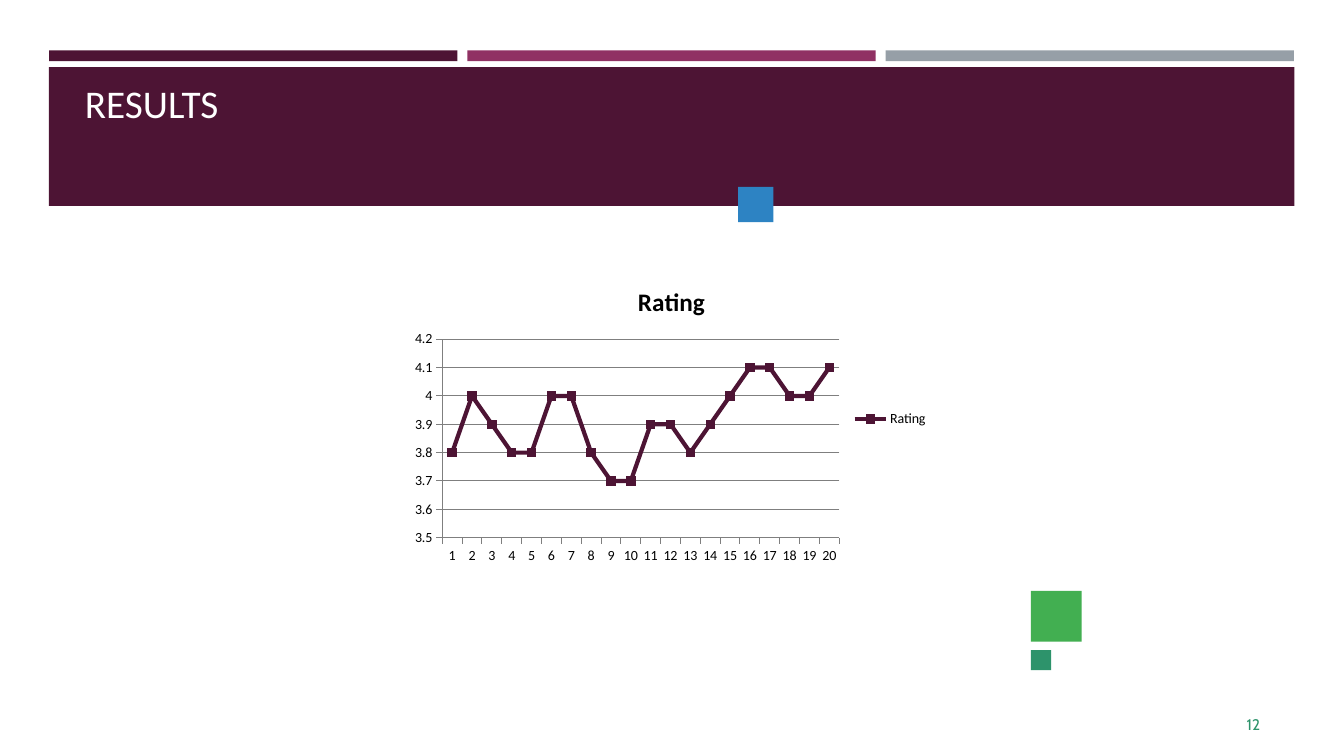
from pptx import Presentation
from pptx.chart.data import CategoryChartData
from pptx.dml.color import RGBColor
from pptx.enum.chart import XL_CHART_TYPE, XL_LEGEND_POSITION, XL_MARKER_STYLE, XL_TICK_MARK
from pptx.enum.shapes import MSO_SHAPE
from pptx.enum.text import MSO_ANCHOR
from pptx.util import Cm, Pt

RECT = MSO_SHAPE.RECTANGLE
LINE = XL_CHART_TYPE.LINE_MARKERS_STACKED
RIGHT = XL_LEGEND_POSITION.RIGHT
SQUARE = XL_MARKER_STYLE.SQUARE
OUT = XL_TICK_MARK.OUTSIDE
TOP, BOTTOM = MSO_ANCHOR.TOP, MSO_ANCHOR.BOTTOM

PLUM, TEAL, GREY = "4D1434", "2D936B", "7F7F7F"
BARS = [PLUM, "903163", "969FA7"]
BAR_W, BAR_STEP = 10.29, 10.54
BAND = (1.23, 1.69, 31.39, 3.5)
# left, top, side, colour
SQUARES = [
    (25.98, 14.89, 1.28, "42AF51"),
    (18.6, 4.71, 0.89, "2D83C3"),
    (25.98, 16.38, 0.51, TEAL),
]
TITLE, TITLE_BOX = "RESULTS", (2.11, 1.94, 6.78, 1.24)
PAGE, PAGE_BOX = "12", (31.32, 17.98, 0.64, 0.53)
CHART_BOX = (10.19, 6.76, 13.46, 7.59)
NAME = "Rating"
RATINGS = [3.8, 4, 3.9, 3.8, 3.8, 4, 4, 3.8, 3.7, 3.7,
           3.9, 3.9, 3.8, 3.9, 4, 4.1, 4.1, 4, 4, 4.1]


def rgb(code):
    return RGBColor.from_string(code)


def cms(box):
    return [Cm(n) for n in box]


def block(slide, box, color):
    shape = slide.shapes.add_shape(RECT, *cms(box))
    shape.shadow.inherit = False
    shape.fill.solid()
    shape.fill.fore_color.rgb = rgb(color)
    shape.line.fill.background()
    return shape


def style(font, size, color="000000", face="Calibri", bold=False):
    font.size, font.name, font.bold = Pt(size), face, bold
    font.color.rgb = rgb(color)


def write(shape, text, box, anchor=TOP, before=0, left=0, **look):
    shape.left, shape.top, shape.width, shape.height = cms(box)
    frame = shape.text_frame
    frame.word_wrap = True
    frame.vertical_anchor = anchor
    frame.margin_left = Cm(left)
    frame.margin_right = frame.margin_bottom = 0
    frame.margin_top = Cm(0.03)
    par = frame.paragraphs[0]
    par.space_before = Pt(before)
    run = par.add_run()
    run.text = text
    style(run.font, **look)


def plot(slide):
    data = CategoryChartData()
    data.categories = [str(n + 1) for n in range(len(RATINGS))]
    data.add_series(NAME, RATINGS)
    chart = slide.shapes.add_chart(LINE, *cms(CHART_BOX), data).chart
    style(chart.font, 10)

    chart.has_title = True
    head = chart.chart_title.text_frame
    head.text = NAME
    style(head.paragraphs[0].runs[0].font, 18, bold=True)
    chart.has_legend = True
    chart.legend.position = RIGHT
    chart.legend.include_in_layout = False

    values = chart.value_axis
    values.minimum_scale, values.maximum_scale = 3.5, 4.2
    values.major_unit = 0.1
    values.has_major_gridlines = True
    values.tick_labels.number_format = "General"
    values.tick_labels.number_format_is_linked = False
    for axis in (values, chart.category_axis):
        axis.major_tick_mark = OUT
        axis.format.line.color.rgb = rgb(GREY)
    grid = values.major_gridlines.format.line
    grid.color.rgb = rgb(GREY)
    grid.width = Pt(0.75)

    chart.plots[0].vary_by_categories = False
    series = chart.plots[0].series[0]
    series.smooth = False
    series.format.line.color.rgb = rgb(PLUM)
    series.format.line.width = Pt(3)
    mark = series.marker
    mark.style, mark.size = SQUARE, 6
    mark.format.fill.solid()
    mark.format.fill.fore_color.rgb = rgb(PLUM)
    mark.format.line.color.rgb = rgb(PLUM)


def main():
    deck = Presentation()
    deck.slide_width, deck.slide_height = Cm(33.87), Cm(19.05)
    slide = deck.slides.add_slide(deck.slide_layouts[5])

    for i, color in enumerate(BARS):
        block(slide, (1.24 + i * BAR_STEP, 1.27, BAR_W, 0.27), color)
    band = block(slide, BAND, PLUM)
    for left, top, side, color in SQUARES:
        block(slide, (left, top, side, side), color)

    title = slide.shapes.title
    band.element.addnext(title.element)  # keeps the title in front of the band
    write(title, TITLE, TITLE_BOX, anchor=BOTTOM, before=1.1, left=0.03,
          size=28, color="FFFFFF")
    title.text_frame.paragraphs[0].alignment = 1
    page = slide.shapes.add_textbox(*cms(PAGE_BOX))
    write(page, PAGE, PAGE_BOX, before=0.6, left=0.1,
          size=11, color=TEAL, face="Cabin")
    plot(slide)
    deck.save("out.pptx")


if __name__ == "__main__":
    main()
